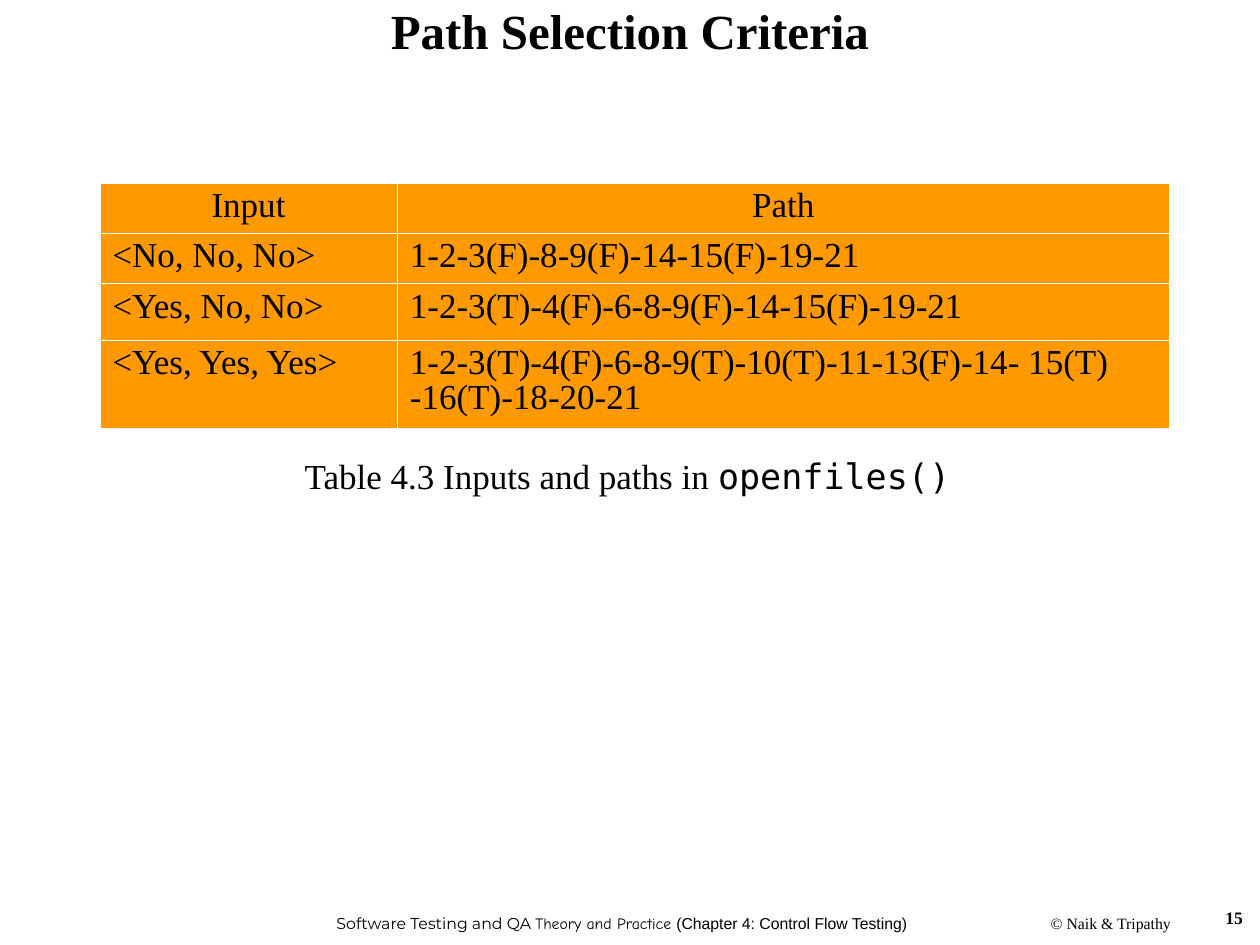
from dataclasses import dataclass

from lxml import etree
from pptx import Presentation
from pptx.dml.color import RGBColor
from pptx.enum.shapes import MSO_SHAPE
from pptx.enum.text import MSO_ANCHOR, PP_ALIGN
from pptx.oxml.ns import qn
from pptx.util import Pt

LEFT, CENTER, RIGHT = PP_ALIGN.LEFT, PP_ALIGN.CENTER, PP_ALIGN.RIGHT
TOP, MIDDLE = MSO_ANCHOR.TOP, MSO_ANCHOR.MIDDLE
RECTANGLE = MSO_SHAPE.RECTANGLE

SERIF, SANS, MONO = "Times New Roman", "Arial", "DejaVu Sans Mono"
BLACK, WHITE, ORANGE = "000000", "FFFFFF", "FF9900"
OUTER_BORDER, INNER_BORDER = Pt(1.08), Pt(0.45)

COLUMN_WIDTHS = (170, 441.3)
ROW_HEIGHTS = (28.8, 28.8, 32.4, 50.4)
ROWS = (
    ("Input", "Path"),
    ("<No, No, No>", "1-2-3(F)-8-9(F)-14-15(F)-19-21"),
    ("<Yes, No, No>", "1-2-3(T)-4(F)-6-8-9(F)-14-15(F)-19-21"),
    ("<Yes, Yes, Yes>",
     "1-2-3(T)-4(F)-6-8-9(T)-10(T)-11-13(F)-14- 15(T) -16(T)-18-20-21"),
)


@dataclass
class Label:
    """A text box: bounds in points and (text, font) runs."""
    bounds: tuple[float, float, float, float]
    runs: tuple[tuple[str, str], ...]
    size: float
    align: PP_ALIGN = CENTER
    anchor: MSO_ANCHOR = MIDDLE
    bold: bool = False
    wrap: bool = True
    line_spacing: float = 1.0


LABELS = (
    Label((184.3, 514.1, 342, 27.4),
          (("Software Testing and QA ", "Montserrat"),
           ("Theory and Practice ", "Comic Neue"),
           ("(Chapter 4: Control Flow Testing)", SANS)), 9, wrap=False),
    Label((582.5, 518.4, 104.4, 18), (("© Naik & Tripathy", SERIF),), 9, wrap=False),
    Label((549.4, 514.8, 167.8, 37.4), (("15", SERIF),), 10, RIGHT, TOP, bold=True),
    Label((0, 0, 720, 38.2), (("Path Selection Criteria", SERIF),), 28,
          bold=True, line_spacing=0.9),
    Label((108.5, 259, 500, 30),
          (("Table 4.3 Inputs and paths in ", SERIF), ("openfiles()", MONO)), 20,
          anchor=TOP, line_spacing=0.9),
)


def color(hex_value: str) -> RGBColor:
    return RGBColor.from_string(hex_value)


def set_attributes(target, values: dict) -> None:
    for name, value in values.items():
        setattr(target, name, value)


def write_runs(paragraph, runs, size: float, bold: bool = False) -> None:
    for text, font_name in runs:
        run = paragraph.add_run()
        run.text = text
        set_attributes(run.font, {"name": font_name, "size": Pt(size), "bold": bold})
        run.font.color.rgb = color(BLACK)


def add_label(slide, label: Label) -> None:
    frame = slide.shapes.add_textbox(*map(Pt, label.bounds)).text_frame
    set_attributes(frame, {"word_wrap": label.wrap, "vertical_anchor": label.anchor})
    paragraph = frame.paragraphs[0]
    set_attributes(paragraph, {"alignment": label.align,
                               "line_spacing": label.line_spacing})
    write_runs(paragraph, label.runs, label.size, label.bold)


def add_frame(slide) -> None:
    frame = slide.shapes.add_shape(RECTANGLE, Pt(0.75), Pt(0.75), Pt(718), Pt(538))
    frame.shadow.inherit = False
    frame.fill.background()
    frame.line.color.rgb = color(WHITE)
    frame.line.width = Pt(1)


def set_borders(cell, widths: dict[str, int]) -> None:
    """Draw white cell borders; widths go in schema order: L, R, T, B."""
    properties = cell._tc.get_or_add_tcPr()
    for index, (side, width) in enumerate(widths.items()):
        line = etree.Element(qn(f"a:ln{side}"), w=str(width))
        fill = etree.SubElement(line, qn("a:solidFill"))
        etree.SubElement(fill, qn("a:srgbClr"), val=WHITE)
        properties.insert(index, line)


def add_path_table(slide) -> None:
    table = slide.shapes.add_table(
        len(ROWS), len(COLUMN_WIDTHS), Pt(57), Pt(104.5),
        Pt(sum(COLUMN_WIDTHS)), Pt(sum(ROW_HEIGHTS))).table
    set_attributes(table, {"first_row": False, "horz_banding": False})
    for column, width in zip(table.columns, COLUMN_WIDTHS):
        column.width = Pt(width)
    last_row, last_column = len(ROWS) - 1, len(COLUMN_WIDTHS) - 1
    for row_index, (row, height) in enumerate(zip(table.rows, ROW_HEIGHTS)):
        row.height = Pt(height)
        for column_index, cell in enumerate(row.cells):
            cell.fill.solid()
            cell.fill.fore_color.rgb = color(ORANGE)
            on_edge = {"L": column_index == 0, "R": column_index == last_column,
                       "T": row_index == 0, "B": row_index == last_row}
            set_borders(cell, {side: OUTER_BORDER if outer else INNER_BORDER
                               for side, outer in on_edge.items()})
            paragraph = cell.text_frame.paragraphs[0]
            set_attributes(paragraph, {"alignment": CENTER if row_index == 0 else LEFT,
                                       "line_spacing": 0.9})
            write_runs(paragraph, ((ROWS[row_index][column_index], SERIF),), 20)


def main() -> None:
    presentation = Presentation()
    set_attributes(presentation, {"slide_width": Pt(720), "slide_height": Pt(540)})
    slide = presentation.slides.add_slide(presentation.slide_layouts[6])
    add_frame(slide)
    for label in LABELS:
        add_label(slide, label)
    add_path_table(slide)
    presentation.save("out.pptx")


if __name__ == "__main__":
    main()
